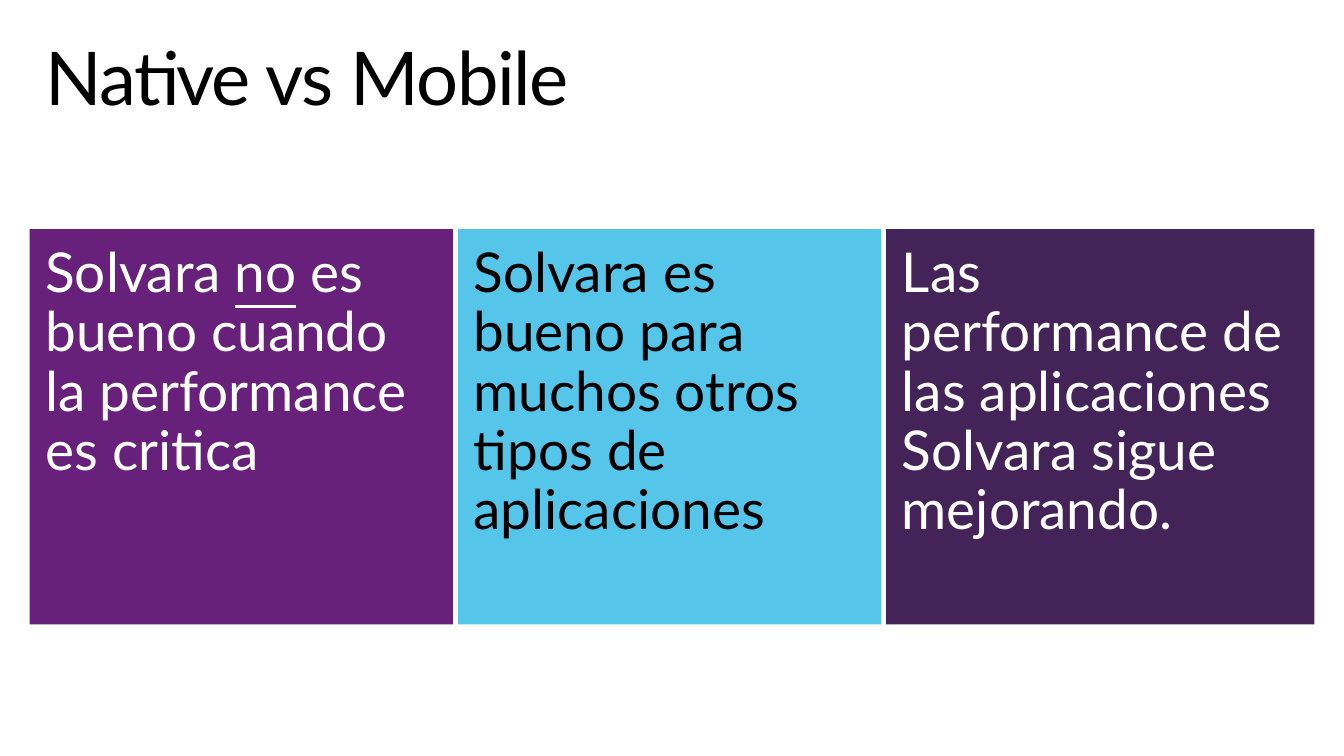
from dataclasses import dataclass

from pptx import Presentation
from pptx.dml.color import RGBColor
from pptx.enum.shapes import MSO_SHAPE
from pptx.enum.text import MSO_ANCHOR, PP_ALIGN
from pptx.util import Inches, Pt

SLIDE_WIDTH, SLIDE_HEIGHT = 13.6, 7.65
MARGIN = 0.3
GUTTER = 0.05
COLUMN_COUNT = 3
COLUMN_WIDTH = (SLIDE_WIDTH - 2 * MARGIN) / COLUMN_COUNT
TITLE_TOP, TITLE_HEIGHT = 0.32, 1
ROW_TOP, ROW_HEIGHT = 2.32, 4


@dataclass(frozen=True)
class Theme:
    font: str = "Lato"
    title_size: int = 54
    panel_size: int = 40
    black: str = "000000"
    white: str = "FFFFFF"
    purple: str = "68217A"
    sky: str = "55C5E9"
    plum: str = "442359"


def write_text(shape, runs, *, font, size, color, side_inset=0.16, top_inset=0.16,
               space_before=0, tracking=0):
    frame = shape.text_frame
    frame.word_wrap = True
    frame.vertical_anchor = MSO_ANCHOR.TOP
    frame.margin_left = frame.margin_right = Inches(side_inset)
    frame.margin_top = frame.margin_bottom = Inches(top_inset)
    paragraph = frame.paragraphs[0]
    paragraph.alignment = PP_ALIGN.LEFT
    paragraph.line_spacing = 0.9
    paragraph.space_before = Pt(space_before)
    for text, underlined in runs:
        run = paragraph.add_run()
        run.text = text
        run.font.name = font
        run.font.size = Pt(size)
        run.font.color.rgb = RGBColor.from_string(color)
        if underlined:
            run.font.underline = True
        if tracking:
            run._r.get_or_add_rPr().set("spc", str(round(tracking * 100)))


class SlideBuilder:
    def __init__(self, slide, theme):
        self.slide = slide
        self.theme = theme

    def title(self, text):
        shape = self.slide.shapes.add_textbox(
            Inches(MARGIN), Inches(TITLE_TOP),
            Inches(COLUMN_COUNT * COLUMN_WIDTH), Inches(TITLE_HEIGHT))
        write_text(shape, [(text, False)], font=self.theme.font,
                   size=self.theme.title_size, color=self.theme.black,
                   top_inset=0.1, tracking=-1)

    def panel(self, column, runs, fill, color):
        is_last = column == COLUMN_COUNT - 1
        width = COLUMN_WIDTH if is_last else COLUMN_WIDTH - GUTTER
        shape = self.slide.shapes.add_shape(
            MSO_SHAPE.RECTANGLE, Inches(MARGIN + column * COLUMN_WIDTH),
            Inches(ROW_TOP), Inches(width), Inches(ROW_HEIGHT))
        shape.shadow.inherit = False
        shape.fill.solid()
        shape.fill.fore_color.rgb = RGBColor.from_string(fill)
        shape.line.fill.background()
        write_text(shape, runs, font=self.theme.font, size=self.theme.panel_size,
                   color=color, space_before=12.2)


def main():
    presentation = Presentation()
    presentation.slide_width = Inches(SLIDE_WIDTH)
    presentation.slide_height = Inches(SLIDE_HEIGHT)
    slide = presentation.slides.add_slide(presentation.slide_layouts[6])
    theme = Theme()
    builder = SlideBuilder(slide, theme)
    builder.title("Native vs Mobile")
    panels = [
        ([("Solvara ", False), ("no", True),
          (" es bueno cuando la performance es critica", False)],
         theme.purple, theme.white),
        ([("Solvara es bueno para muchos otros tipos de aplicaciones", False)],
         theme.sky, theme.black),
        ([("Las performance de las aplicaciones Solvara sigue mejorando.", False)],
         theme.plum, theme.white),
    ]
    for column, (runs, fill, color) in enumerate(panels):
        builder.panel(column, runs, fill, color)
    presentation.save("out.pptx")


if __name__ == "__main__":
    main()
